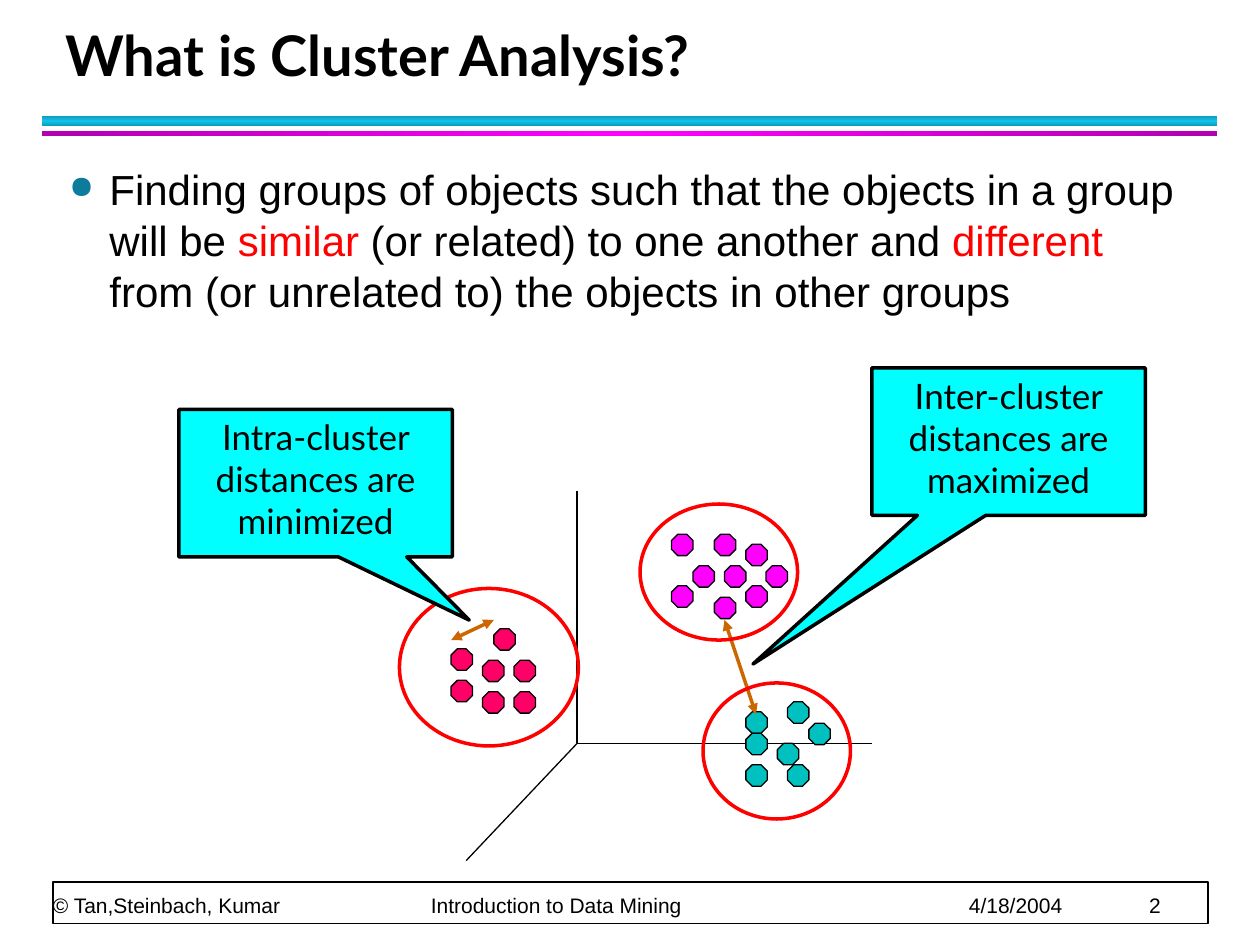
from lxml import etree
from pptx import Presentation
from pptx.dml.color import RGBColor
from pptx.enum import shapes as sh, text as tx
from pptx.oxml import ns
from pptx.util import Inches, Pt

HUES = {
    "ink": "000000", "paper": "FFFFFF", "red": "FF0000", "bullet": "0C7B9C",
    "call": "00FFFF", "arrow": "CC6600", "pink": "FF00FF", "rose": "FF0066",
    "teal": "00C0C0", "blue": "12C2E9", "navy": "0E9BBA", "plum": "B200B2",
}
KIND = sh.MSO_SHAPE
DOT = 0.17

# Left and top of each point, by cluster colour
DOTS = {
    "pink": [(5.5, 4.49), (5.75, 4.49), (5.67, 4.24), (5.67, 4.74), (6.08, 4.49),
             (5.92, 4.32), (5.33, 4.24), (5.92, 4.65), (5.33, 4.65)],
    "rose": [(3.58, 5.15), (3.83, 5.24), (3.83, 5.49), (4.08, 5.24),
             (3.92, 4.99), (4.08, 5.49), (3.58, 5.4)],
    "teal": [(5.92, 5.65), (6.42, 5.74), (6.17, 5.9), (5.92, 6.07),
             (6.25, 6.07), (5.92, 5.82), (6.25, 5.57)],
}
RINGS = [(3.17, 4.67, 1.42, 1.25), (5.08, 4, 1.25, 1.08), (5.58, 5.42, 1.17, 1.08)]
AXES = [(4.58, 3.9), (6.92, 5.9), (3.7, 6.83)]
ORIGIN = (4.58, 5.9)


def rgb(hue):
    return RGBColor.from_string(HUES[hue])


def inch(*nums):
    return [Inches(n) for n in nums]


def sub(node, tag, **attrs):
    return etree.SubElement(node, ns.qn(tag), **attrs)


def style(font, name, size, hue="ink", bold=False):
    font.name, font.size, font.bold = name, Pt(size), bold
    font.color.rgb = rgb(hue)


def add_shape(slide, kind, box, fill=None, line="ink", width=0.75):
    shape = slide.shapes.add_shape(kind, *inch(*box))
    shape.shadow.inherit = False
    if fill:
        shape.fill.solid()
        shape.fill.fore_color.rgb = rgb(fill)
    else:
        shape.fill.background()
    if line:
        shape.line.color.rgb = rgb(line)
        shape.line.width = Pt(width)
    else:
        shape.line.fill.background()
    return shape


def add_bar(slide, box, edge, mid, angle):
    bar = add_shape(slide, KIND.RECTANGLE, box, line=None)
    bar.fill.gradient()
    bar.fill.gradient_angle = angle
    stops = bar._element.spPr.find(".//" + ns.qn("a:gsLst"))
    for stop in list(stops):
        stops.remove(stop)
    for pos, hue in ((0, edge), (50000, mid), (100000, edge)):
        sub(sub(stops, "a:gs", pos=str(pos)), "a:srgbClr", val=HUES[hue])


def add_line(slide, start, end, hue="ink", width=0.75, arrows=False):
    line = slide.shapes.add_connector(
        sh.MSO_CONNECTOR.STRAIGHT, *inch(*start, *end))
    line.line.color.rgb = rgb(hue)
    line.line.width = Pt(width)
    if arrows:
        for tag in ("a:headEnd", "a:tailEnd"):
            sub(line.line._get_or_add_ln(), tag, type="triangle")
    sub(line._element.spPr, "a:effectLst")


def add_call(slide, box, tip, words):
    call = add_shape(slide, KIND.RECTANGULAR_CALLOUT, box, "call", width=2)
    call.adjustments[0], call.adjustments[1] = tip
    frame = call.text_frame
    frame.word_wrap = True
    frame.vertical_anchor = tx.MSO_ANCHOR.TOP
    frame.text = words
    para = frame.paragraphs[0]
    para.alignment = tx.PP_ALIGN.CENTER
    style(para.runs[0].font, "Lato", 20)


def add_title(slide, words):
    title = slide.shapes.title
    title.left, title.top, title.width, title.height = inch(0.42, 0.17, 9.06, 0.58)
    frame = title.text_frame
    frame.text = words
    frame.auto_size = tx.MSO_AUTO_SIZE.NONE
    frame.vertical_anchor = tx.MSO_ANCHOR.BOTTOM
    para = frame.paragraphs[0]
    para.alignment = tx.PP_ALIGN.LEFT
    para.line_spacing = Pt(36)
    style(para.runs[0].font, "Lato", 32, bold=True)


def add_body(slide, parts):
    frame = slide.shapes.add_textbox(*inch(0.45, 1.25, 9.1, 1.42)).text_frame
    frame.word_wrap = True
    para = frame.paragraphs[0]
    para.line_spacing = Pt(28.9)
    props = para._p.get_or_add_pPr()
    props.set("marL", str(Inches(0.32)))
    props.set("indent", str(-Inches(0.32)))
    sub(sub(props, "a:buClr"), "a:srgbClr", val=HUES["bullet"])
    sub(props, "a:buSzPct", val="75000")
    sub(props, "a:buChar", char="●")
    for words, hue in parts:
        run = para.add_run()
        run.text = words
        style(run.font, "Arial", 24, hue)


def add_footer(slide, parts, stops):
    add_shape(slide, KIND.RECTANGLE, (0.42, 7, 9.17, 0.33), "paper", width=1)
    frame = slide.shapes.add_textbox(*inch(0.42, 6.72, 9.15, 0.56)).text_frame
    frame.margin_left = frame.margin_right = 0
    frame.margin_top = frame.margin_bottom = 0
    frame.word_wrap = True
    frame.vertical_anchor = tx.MSO_ANCHOR.BOTTOM
    para = frame.paragraphs[0]
    para.text = "\t".join(parts)
    para.line_spacing = Pt(20)
    tabs = sub(para._p.get_or_add_pPr(), "a:tabLst")
    for stop in stops:
        sub(tabs, "a:tab", pos=str(Inches(stop)), algn="l")
    for run in para.runs:
        style(run.font, "Arial", 12)


def main():
    deck = Presentation()
    deck.slide_width, deck.slide_height = inch(10, 7.5)
    slide = deck.slides.add_slide(deck.slide_layouts[5])

    # Frame of the slide
    add_bar(slide, (0.33, 0.92, 9.33, 0.08), "navy", "blue", 90)
    add_bar(slide, (0.33, 1.04, 9.33, 0.04), "plum", "pink", 0)
    add_footer(slide, ["© Tan,Steinbach, Kumar", "Introduction to Data Mining",
                       "4/18/2004", "2"], [3, 7.27, 8.7])

    # Title and definition
    add_title(slide, "What is Cluster Analysis?")
    add_body(slide, [
        ("Finding groups of objects such that the objects in a group will be ", "ink"),
        ("similar", "red"),
        (" (or related) to one another and ", "ink"),
        ("different", "red"),
        (" from (or unrelated to) the objects in other groups", "ink"),
    ])

    # Axes and points
    for end in AXES:
        add_line(slide, ORIGIN, end)
    for hue, spots in DOTS.items():
        for spot in spots:
            add_shape(slide, KIND.OCTAGON, (*spot, DOT, DOT), hue)

    # Distance between clusters
    add_line(slide, (6, 5.67), (5.75, 4.92), "arrow", 2, arrows=True)
    add_call(slide, (6.92, 2.92, 2.17, 1.17), (-0.935, 1.509),
             "Inter-cluster distances are maximized")

    # Cluster outlines
    for ring in RINGS:
        add_shape(slide, KIND.OVAL, ring, line="red", width=2)

    # Distance within a cluster
    add_line(slide, (3.58, 5.08), (3.92, 4.92), "arrow", 2, arrows=True)
    add_call(slide, (1.42, 3.25, 2.17, 1.17), (0.562, 0.929),
             "Intra-cluster distances are minimized")

    deck.save("out.pptx")


if __name__ == "__main__":
    main()
